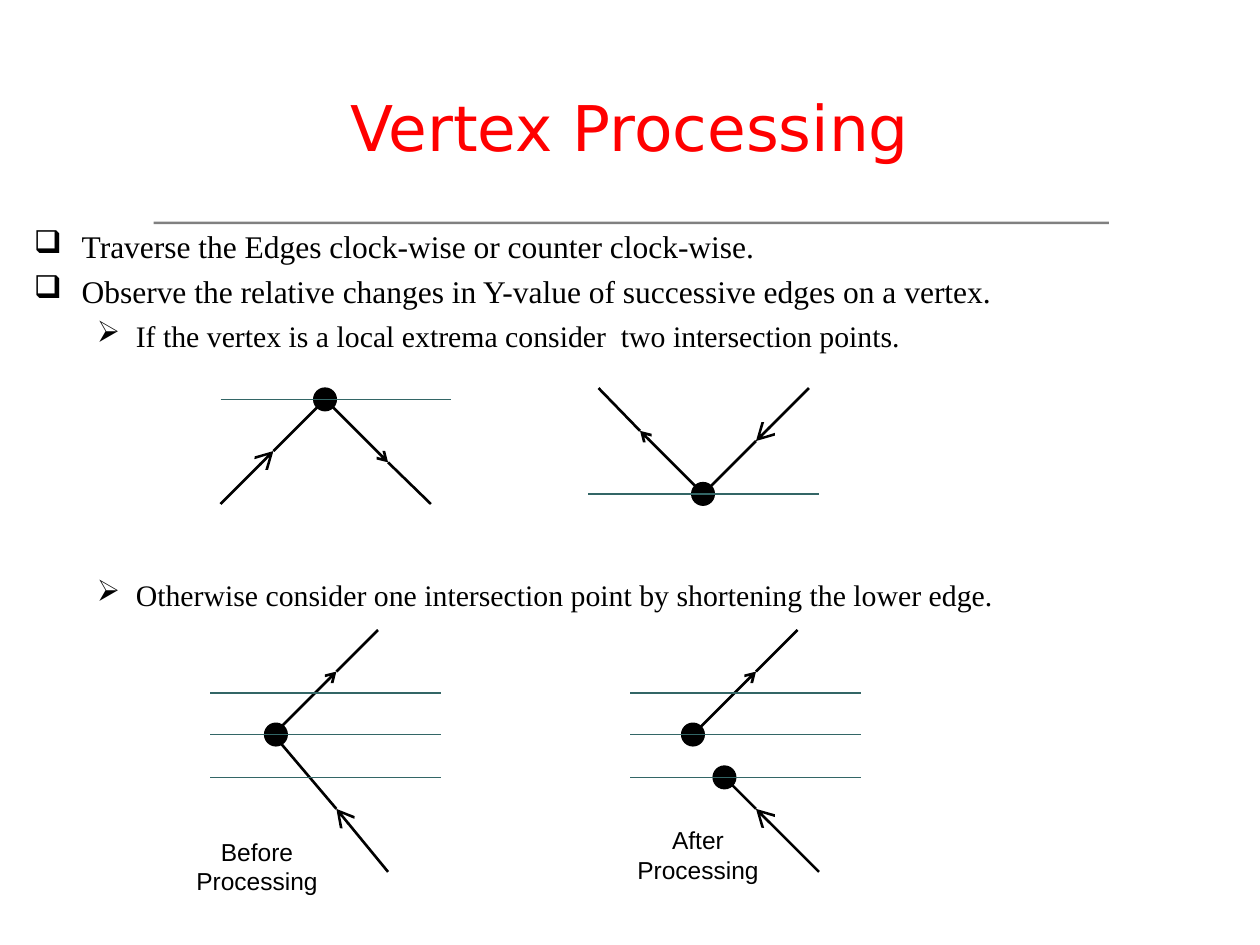
import pptx
import pptx.util
import pptx.dml.color
import pptx.enum.shapes
import pptx.enum.text
import pptx.oxml.ns
from lxml import etree

Inches = pptx.util.Inches
Pt = pptx.util.Pt
PP_ALIGN = pptx.enum.text.PP_ALIGN
ANCHOR = pptx.enum.text.MSO_ANCHOR
qn = pptx.oxml.ns.qn

COLORS = {
    "title": "FF0000",
    "ink": "000000",
    "scanline": "336666",
    "rule": "808080",
}
DOT_SIZE = 0.17
SCANLINE_LENGTH = 1.83

STATEMENTS = [
    ("Traverse the Edges clock-wise or counter clock-wise.", 0, 0),
    ("Observe the relative changes in Y-value of successive edges on a vertex.", 0, 4.5),
    ("If the vertex is a local extrema consider  two intersection points.", 1, 4.2),
    ("Otherwise consider one intersection point by shortening the lower edge.", 1, 127.5),
]
LEVELS = [
    {"bullet": "❑", "size": 18, "left": 0.38, "hanging": 0.38},
    {"bullet": "➢", "size": 17, "left": 0.81, "hanging": 0.31},
]

INCOMING_EDGES = [
    ((1.75, 4), (2.17, 3.58), (2.58, 3.17)),
    ((6.42, 3.08), (6, 3.5), (5.58, 3.92)),
    ((3.08, 6.92), (2.67, 6.42), (2.17, 5.83)),
    ((6.5, 6.92), (6, 6.42), (5.75, 6.17)),
]
OUTGOING_EDGES = [
    ((2.58, 3.17), (3.08, 3.67), (3.42, 4)),
    ((5.58, 3.92), (5.08, 3.42), (4.75, 3.08)),
    ((2.17, 5.83), (2.67, 5.33), (3, 5)),
    ((5.5, 5.83), (6, 5.33), (6.33, 5)),
]
VERTICES = [(2.58, 3.17), (5.58, 3.92), (2.19, 5.83), (5.5, 5.83), (5.75, 6.17)]
SCANLINES = [(1.75, 3.17), (4.67, 3.92)] + [
    (left, y) for left in (1.67, 5) for y in (5.5, 5.83, 6.17)
]


def rgb(name):
    return pptx.dml.color.RGBColor.from_string(COLORS[name])


def add_frame(slide, left, top, width, height):
    box = slide.shapes.add_textbox(
        Inches(left), Inches(top), Inches(width), Inches(height)
    )
    box.text_frame.word_wrap = True
    return box.text_frame


def add_run(paragraph, text, font_name, size, color):
    run = paragraph.add_run()
    run.text = text
    run.font.name = font_name
    run.font.size = Pt(size)
    run.font.color.rgb = rgb(color)


def add_centred_text(slide, place, text, font_name, size, color, anchor=ANCHOR.TOP):
    frame = add_frame(slide, *place)
    frame.vertical_anchor = anchor
    paragraph = frame.paragraphs[0]
    paragraph.alignment = PP_ALIGN.CENTER
    add_run(paragraph, text, font_name, size, color)


def set_bullet(paragraph, level):
    properties = paragraph._p.get_or_add_pPr()
    properties.set("marL", str(Inches(level["left"])))
    properties.set("indent", str(-Inches(level["hanging"])))
    bullet_color = etree.SubElement(properties, qn("a:buClr"))
    etree.SubElement(bullet_color, qn("a:srgbClr"), val=COLORS["ink"])
    etree.SubElement(properties, qn("a:buChar"), char=level["bullet"])


def add_statements(slide):
    frame = add_frame(slide, 0.17, 1.75, 9.67, 5.58)
    for index, (text, depth, space) in enumerate(STATEMENTS):
        paragraph = frame.add_paragraph() if index else frame.paragraphs[0]
        level = LEVELS[depth]
        set_bullet(paragraph, level)
        paragraph.level = depth
        paragraph.alignment = PP_ALIGN.JUSTIFY
        if space:
            paragraph.space_before = Pt(space)
        add_run(paragraph, text, "Times New Roman", level["size"], "ink")


def add_line(slide, start, end, color, width, arrow_size=None):
    line = slide.shapes.add_connector(
        pptx.enum.shapes.MSO_CONNECTOR.STRAIGHT,
        *(Inches(value) for value in start + end),
    )
    line.line.color.rgb = rgb(color)
    line.line.width = Pt(width)
    if arrow_size:
        etree.SubElement(
            line.line._get_or_add_ln(), qn("a:tailEnd"),
            type="arrow", w=arrow_size, len=arrow_size,
        )
    etree.SubElement(line._element.spPr, qn("a:effectLst"))


def add_edge(slide, start, middle, end, arrow_size):
    add_line(slide, start, middle, "ink", 1.5, arrow_size)
    add_line(slide, middle, end, "ink", 1.5)


def add_solid(slide, preset, place, color):
    solid = slide.shapes.add_shape(preset, *(Inches(value) for value in place))
    solid.shadow.inherit = False
    solid.fill.solid()
    solid.fill.fore_color.rgb = rgb(color)
    solid.line.fill.background()
    return solid


def add_vertex(slide, x, y):
    place = (x - DOT_SIZE / 2, y - DOT_SIZE / 2, DOT_SIZE, DOT_SIZE)
    dot = add_solid(slide, pptx.enum.shapes.MSO_SHAPE.OVAL, place, "ink")
    dot.line.color.rgb = rgb("ink")
    dot.line.width = Pt(1.5)


def main():
    deck = pptx.Presentation()
    deck.slide_width = Inches(10)
    deck.slide_height = Inches(7.5)
    slide = deck.slides.add_slide(deck.slide_layouts[6])

    add_solid(
        slide, pptx.enum.shapes.MSO_SHAPE.RECTANGLE, (1.22, 1.76, 7.58, 0.02), "rule"
    )
    add_centred_text(
        slide, (0, 0.5, 10, 1), "Vertex Processing",
        "DejaVu Sans", 36, "title", ANCHOR.MIDDLE,
    )
    add_statements(slide)

    for edges, arrow_size in ((INCOMING_EDGES, "lg"), (OUTGOING_EDGES, "med")):
        for edge in edges:
            add_edge(slide, *edge, arrow_size)
    for vertex in VERTICES:
        add_vertex(slide, *vertex)
    for left, y in SCANLINES:
        add_line(slide, (left, y), (left + SCANLINE_LENGTH, y), "scanline", 1)

    for left, top, stage in ((1.33, 6.59, "Before"), (4.83, 6.5, "After")):
        add_centred_text(
            slide, (left, top, 1.42, 0.57), f"{stage} Processing", "Arial", 14, "ink"
        )
    deck.save("out.pptx")


if __name__ == "__main__":
    main()
